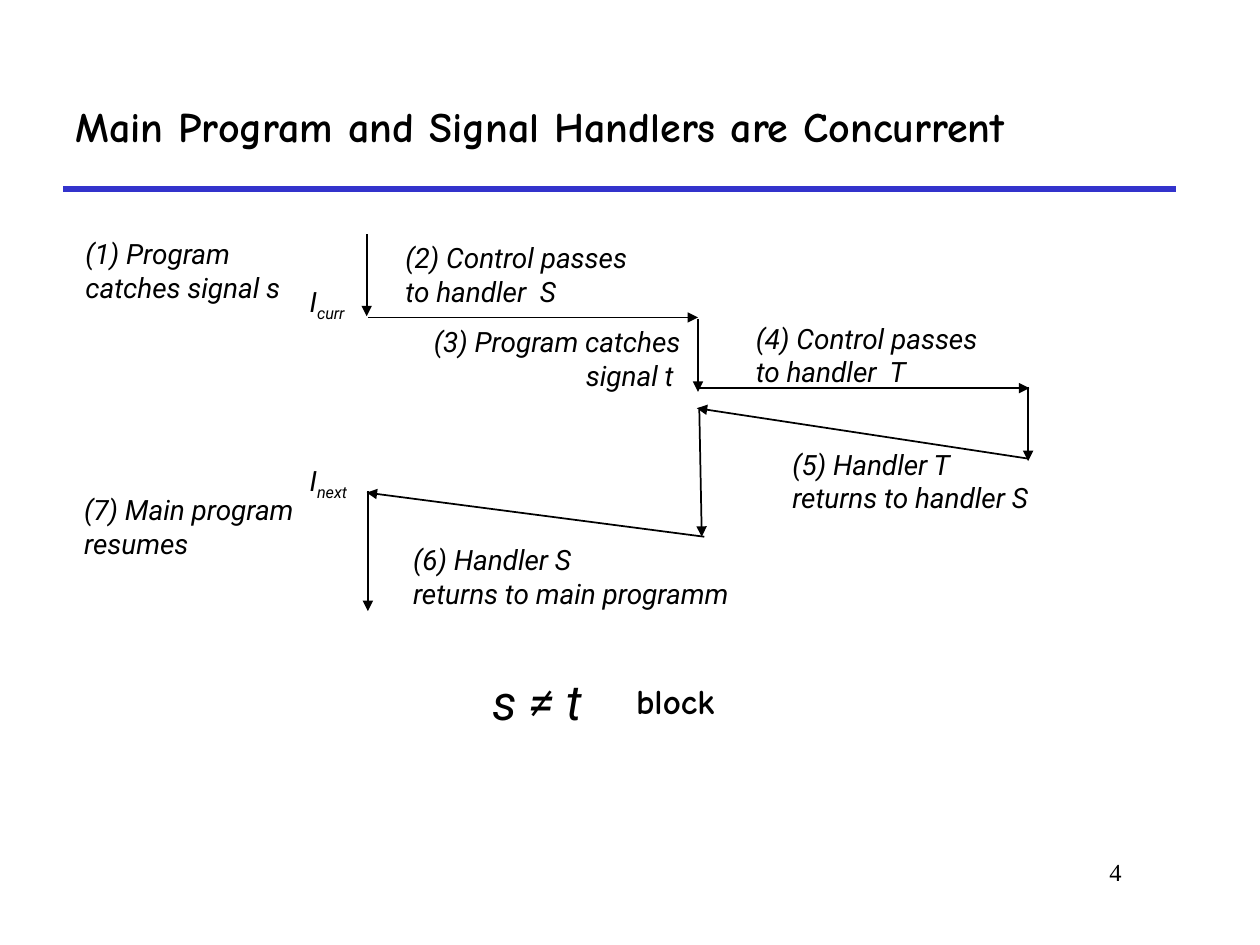
import pptx
import pptx.util
import pptx.dml.color
import pptx.enum.shapes
import pptx.enum.text
import pptx.oxml.ns
import lxml.etree

Inches = pptx.util.Inches
BLACK = pptx.dml.color.RGBColor(0x00, 0x00, 0x00)
RULE_BLUE = pptx.dml.color.RGBColor(0x33, 0x33, 0xCC)

LABEL = {"name": "Roboto", "size": pptx.util.Pt(16), "italic": True}
FORMULA = {"name": "Roboto", "size": pptx.util.Pt(28), "italic": True}
TITLE = {"name": "Comic Neue", "size": pptx.util.Pt(24), "bold": True}
NOTE = {"name": "Comic Neue", "size": pptx.util.Pt(20), "bold": True}
NUMBER = {"name": "Times New Roman", "size": pptx.util.Pt(14)}
LEFT = pptx.enum.text.PP_ALIGN.LEFT
RIGHT = pptx.enum.text.PP_ALIGN.RIGHT

deck = pptx.Presentation()
deck.slide_width, deck.slide_height = Inches(10), Inches(7.5)
page = deck.slides.add_slide(deck.slide_layouts[6])


def add_line(start, end, color, width, arrow=True):
    line = page.shapes.add_connector(
        pptx.enum.shapes.MSO_CONNECTOR.STRAIGHT,
        *[Inches(value) for value in (*start, *end)])
    line.line.color.rgb = color
    line.line.width = pptx.util.Pt(width)
    qn = pptx.oxml.ns.qn
    if arrow:
        outline = line.line._get_or_add_ln()
        lxml.etree.SubElement(outline, qn("a:tailEnd"), type="triangle")
    lxml.etree.SubElement(line._element.spPr, qn("a:effectLst"))


def add_text(place, lines, style, wrap=False, align=LEFT):
    """Each line is a list of runs; every run after the first is a subscript."""
    box = page.shapes.add_textbox(*[Inches(value) for value in place])
    frame = box.text_frame
    frame.word_wrap = wrap
    for index, runs in enumerate(lines):
        para = frame.add_paragraph() if index else frame.paragraphs[0]
        para.alignment = align
        for position, text in enumerate(runs):
            span = para.add_run()
            span.text = text
            for key, value in style.items():
                setattr(span.font, key, value)
            span.font.color.rgb = BLACK
            if position:
                span._r.get_or_add_rPr().set("baseline", "-25000")
    return frame


# Title, rule and page number
add_line((0.5, 1.5), (9.33, 1.5), RULE_BLUE, 3, arrow=False)
title = add_text((0.5, 0.5, 8.83, 1),
                 [["Main Program and Signal Handlers are Concurrent"]],
                 TITLE, wrap=True)
title.vertical_anchor = pptx.enum.text.MSO_ANCHOR.MIDDLE
add_text((7.58, 6.75, 1.42, 0.5), [["4"]], NUMBER, wrap=True, align=RIGHT)

# Control flow: main program, handler S, handler T and back
for start, end in [
    ((2.91, 1.86), (2.91, 2.51)),
    ((2.92, 2.52), (5.54, 2.52)),
    ((5.54, 2.53), (5.54, 3.11)),
    ((5.54, 3.08), (8.17, 3.08)),
    ((8.16, 3.07), (8.16, 3.66)),
    ((8.16, 3.64), (5.53, 3.24)),
    ((5.55, 3.25), (5.57, 4.26)),
    ((5.59, 4.26), (2.91, 3.91)),
    ((2.92, 3.9), (2.92, 4.85)),
]:
    add_line(start, end, BLACK, 1)

# Step labels that wrap in their box
for place, text, align in [
    ((0.58, 1.83, 1.78, 0.64), "(1) Program catches signal s", LEFT),
    ((3.34, 2.53, 2.16, 0.64), "(3) Program catches signal t ", RIGHT),
    ((0.57, 3.86, 1.99, 0.64), "(7) Main program resumes", LEFT),
]:
    add_text(place, [[text]], LABEL, wrap=True, align=align)

# Step labels with fixed lines, and instruction names with subscripts
for place, lines in [
    ((3.12, 1.86, 2.1, 0.64), [["(2) Control passes"], ["to handler  S"]]),
    ((5.9, 2.5, 2.1, 0.64), [["(4) Control passes"], ["to handler  T"]]),
    ((6.19, 3.5, 2.23, 0.64), [["(5) Handler T"], ["returns to handler S"]]),
    ((3.18, 4.26, 2.85, 0.64), [["(6) Handler S"], ["returns to main programm"]]),
    ((2.36, 2.21, 0.52, 0.37), [["I", "curr"]]),
    ((2.36, 3.63, 0.55, 0.37), [["I", "next"]]),
]:
    add_text(place, lines, LABEL)

# Blocking condition
add_text((3.81, 5.28, 1.03, 0.57), [["s ≠ t"]], FORMULA, wrap=True)
add_text((4.95, 5.34, 0.88, 0.44), [["block"]], NOTE)

deck.save("out.pptx")
